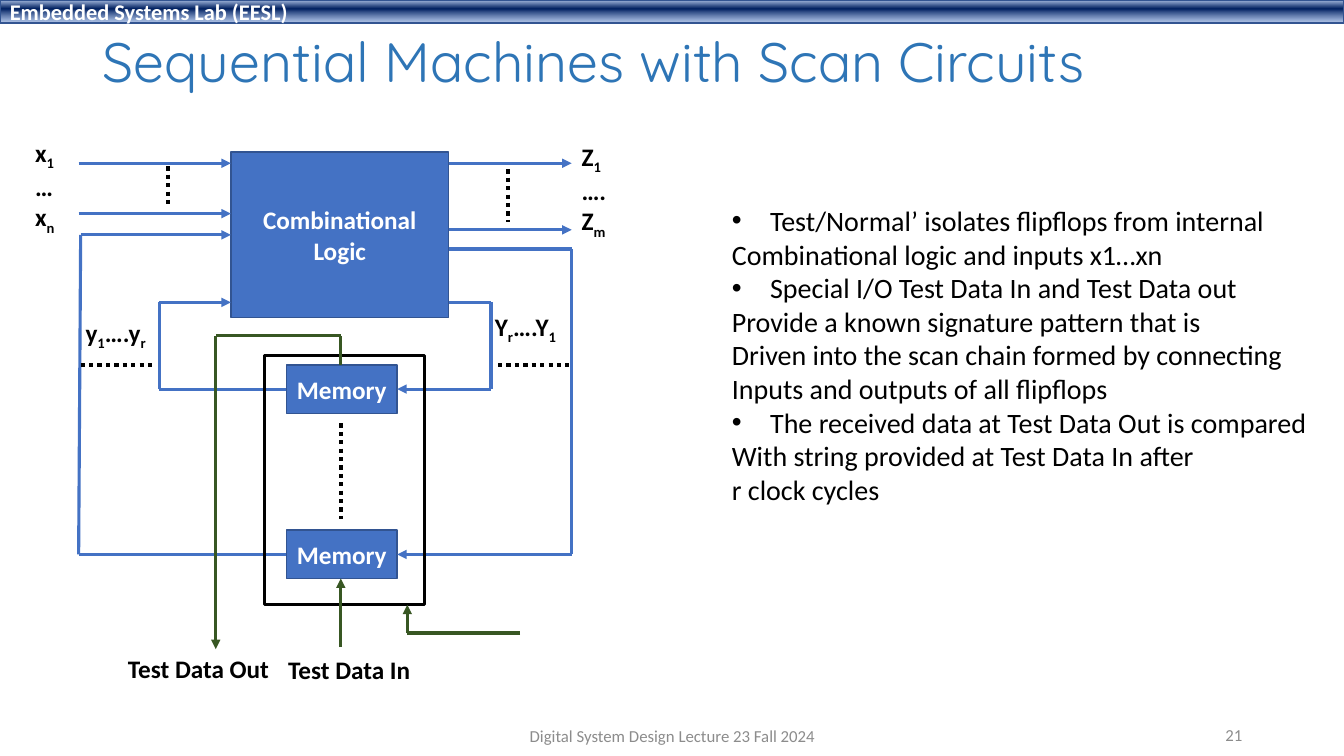
from lxml import etree
from pptx import Presentation
from pptx import util as u
from pptx.dml.color import RGBColor
from pptx.enum import dml, shapes, text
from pptx.oxml import parse_xml
from pptx.oxml.ns import nsdecls, qn

BLUE = RGBColor(0x44, 0x72, 0xC4)
EDGE = RGBColor(0x32, 0x54, 0x91)
GREEN = RGBColor(0x38, 0x57, 0x23)
TITLE = RGBColor(0x2E, 0x75, 0xB6)
GREY = RGBColor(0x8C, 0x8C, 0x8C)
BLACK = RGBColor(0, 0, 0)
WHITE = RGBColor(0xFF, 0xFF, 0xFF)
LEFT, MID, RIGHT = text.PP_ALIGN.LEFT, text.PP_ALIGN.CENTER, text.PP_ALIGN.RIGHT

BAND = f"""<a:gradFill {nsdecls('a')} rotWithShape="1"><a:gsLst>
<a:gs pos="2000"><a:srgbClr val="ABC0E4"/></a:gs>
<a:gs pos="38000"><a:srgbClr val="002060"/></a:gs>
<a:gs pos="93000"><a:srgbClr val="7E9ED6"><a:alpha val="64000"/></a:srgbClr></a:gs>
</a:gsLst><a:lin ang="5400000" scaled="0"/></a:gradFill>"""


class Deck:
    font = "Calibri"
    wire_w = 2.25

    def __init__(self, slide):
        self.shapes = slide.shapes

    def style(self, para, size, color, bold=False, align=LEFT, font=None):
        para.alignment = align
        for run in para.runs:
            run.font.size = u.Pt(size)
            run.font.name = font or self.font
            run.font.bold = bold
            run.font.color.rgb = color

    def box(self, at, words="", size=18, fill=BLUE, line=EDGE, width=1, align=MID):
        shape = self.shapes.add_shape(shapes.MSO_SHAPE.RECTANGLE, *map(u.Inches, at))
        shape.shadow.inherit = False
        if fill is None:
            shape.fill.background()
        else:
            shape.fill.solid()
            shape.fill.fore_color.rgb = fill
        shape.line.color.rgb = line
        shape.line.width = u.Pt(width)
        frame = shape.text_frame
        frame.vertical_anchor = text.MSO_ANCHOR.MIDDLE
        frame.text = words
        for para in frame.paragraphs:
            self.style(para, size, WHITE, True, align)
        return shape

    def band(self, at, words):
        """Header bar with a vertical gradient."""
        shape = self.box(at, words, 16, fill=None, align=LEFT)
        props = shape._element.spPr
        props.replace(props.find(qn("a:noFill")), parse_xml(BAND))

    def note(self, at, words, size, color=BLACK, align=LEFT, font=None, wrap=True):
        frame = self.shapes.add_textbox(*map(u.Inches, at)).text_frame
        frame.word_wrap = wrap
        frame.vertical_anchor = text.MSO_ANCHOR.MIDDLE if wrap else text.MSO_ANCHOR.TOP
        if not wrap:
            frame.auto_size = text.MSO_AUTO_SIZE.SHAPE_TO_FIT_TEXT
        frame.text = words
        for para in frame.paragraphs:
            self.style(para, size, color, align=align, font=font)
        return frame

    def label(self, at, lines):
        """Bold text; each line is a list whose odd items are subscripts."""
        frame = self.note(at, "", 18, wrap=False)
        for i, parts in enumerate(lines):
            para = frame.paragraphs[0] if i == 0 else frame.add_paragraph()
            for j, part in enumerate(parts):
                run = para.add_run()
                run.text = part
                if j % 2:
                    run._r.get_or_add_rPr().set("baseline", "-25000")
            self.style(para, 18, BLACK, True)

    def list(self, at, items):
        """Each item is a bulleted line followed by plain lines."""
        words = "\n".join(line for item in items for line in item)
        frame = self.note(at, words, 20, wrap=False)
        heads = {item[0] for item in items}
        for para in frame.paragraphs:
            if para.text in heads:
                props = para._p.get_or_add_pPr()
                props.set("marL", str(u.Inches(0.38)))
                props.set("indent", str(-u.Inches(0.38)))
                etree.SubElement(props, qn("a:buFont")).set("typeface", "Arial")
                etree.SubElement(props, qn("a:buChar")).set("char", "•")

    def line(self, start, end, color, width):
        wire = self.shapes.add_connector(
            shapes.MSO_CONNECTOR.STRAIGHT, *map(u.Inches, (*start, *end)))
        wire.line.color.rgb = color
        wire.line.width = u.Pt(width)
        etree.SubElement(wire._element.spPr, qn("a:effectLst"))
        return wire

    def wire(self, *points, color=BLUE, arrow=True):
        """Straight pieces through the points, with an arrow on the last."""
        for start, end in zip(points, points[1:]):
            piece = self.line(start, end, color, self.wire_w)
        if arrow:
            tail = etree.SubElement(piece.line._get_or_add_ln(), qn("a:tailEnd"))
            tail.set("type", "triangle")

    def dots(self, start, end):
        self.line(start, end, BLACK, 3).line.dash_style = dml.MSO_LINE.ROUND_DOT


def main():
    prs = Presentation()
    prs.slide_width, prs.slide_height = u.Inches(13.33), u.Inches(7.5)
    deck = Deck(prs.slides.add_slide(prs.slide_layouts[6]))

    deck.band((0, 0, 13.33, 0.23), "Embedded Systems Lab (EESL)")
    title = deck.note((0.92, 0.18, 11.5, 0.92), "Sequential Machines with Scan Circuits",
                      39.6, TITLE, font="Quicksand")
    title.paragraphs[0].line_spacing = 0.9
    deck.list((7.16, 1.97, 6.02, 3.13), [
        ["Test/Normal’ isolates flipflops from internal",
         "Combinational logic and inputs x1…xn"],
        ["Special I/O Test Data In and Test Data out",
         "Provide a known signature pattern that is",
         "Driven into the scan chain formed by connecting",
         "Inputs and outputs of all flipflops"],
        ["The received data at Test Data Out is compared",
         "With string provided at Test Data In after",
         "r clock cycles"],
    ])

    # Logic block and memory cells
    west, east = 2.29, 4.45
    deck.box((west, 1.51, east - west, 1.64), "Combinational\nLogic")
    cell, cell_end, axis = 2.84, 3.94, 3.38
    first, last = 3.86, 5.5
    for mid in (first, last):
        deck.box((cell, mid - 0.24, cell_end - cell, 0.48), "Memory")

    # Inputs, outputs and feedback loops
    for y in (1.62, 2.12):
        deck.wire((0.78, y), (west, y))
    for y in (1.62, 2.28):
        deck.wire((east, y), (5.67, y))
    deck.wire((east, 3), (4.87, 3), (4.87, first), (cell_end, first))
    deck.wire((east, 2.47), (5.67, 2.47), (5.67, last), (cell_end, last))
    deck.wire((cell, first), (1.58, first), (1.58, 3), (west, 3))
    deck.wire((cell, last), (0.78, last), (0.8, 2.33), (west, 2.33))

    for start, end in (((axis, 4.2), (axis, 5.15)), ((5.04, 1.68), (5.04, 2.2)),
                       ((1.67, 1.65), (1.67, 2.05)), ((4.94, 3.62), (5.64, 3.62)),
                       ((0.8, 3.62), (1.52, 3.62))):
        deck.dots(start, end)

    # Scan chain
    deck.box((2.62, 3.53, 1.59, 2.47), fill=None, line=BLACK, width=2.25)
    deck.wire((5.16, 6.28), (4.04, 6.28), (4.04, 6), color=GREEN)
    deck.wire((axis, 6.42), (axis, 5.74), color=GREEN)
    deck.wire((axis, 3.62), (axis, 3.33), (2.14, 3.33), (2.14, 6.44), color=GREEN)

    deck.label((0.25, 1.31, 0.41, 1.01), [["x", "1"], ["…"], ["x", "n"]])
    deck.label((5.67, 1.35, 0.46, 1.01), [["Z", "1"], ["…."], ["Z", "m"]])
    deck.label((0.75, 3.1, 0.83, 0.4), [["y", "1", "….y", "r"]])
    deck.label((4.81, 3.04, 0.82, 0.4), [["Y", "r", "….Y", "1"]])
    deck.label((2.76, 6.44, 1.42, 0.4), [["Test Data In"]])
    deck.label((1.17, 6.43, 1.62, 0.4), [["Test Data Out"]])

    deck.note((4.42, 7.1, 4.5, 0.4), "Digital System Design Lecture 23 Fall 2024",
              12, GREY, MID)
    deck.note((9.42, 7.09, 3, 0.4), "21", 12, GREY, RIGHT)
    prs.save("out.pptx")


if __name__ == "__main__":
    main()
